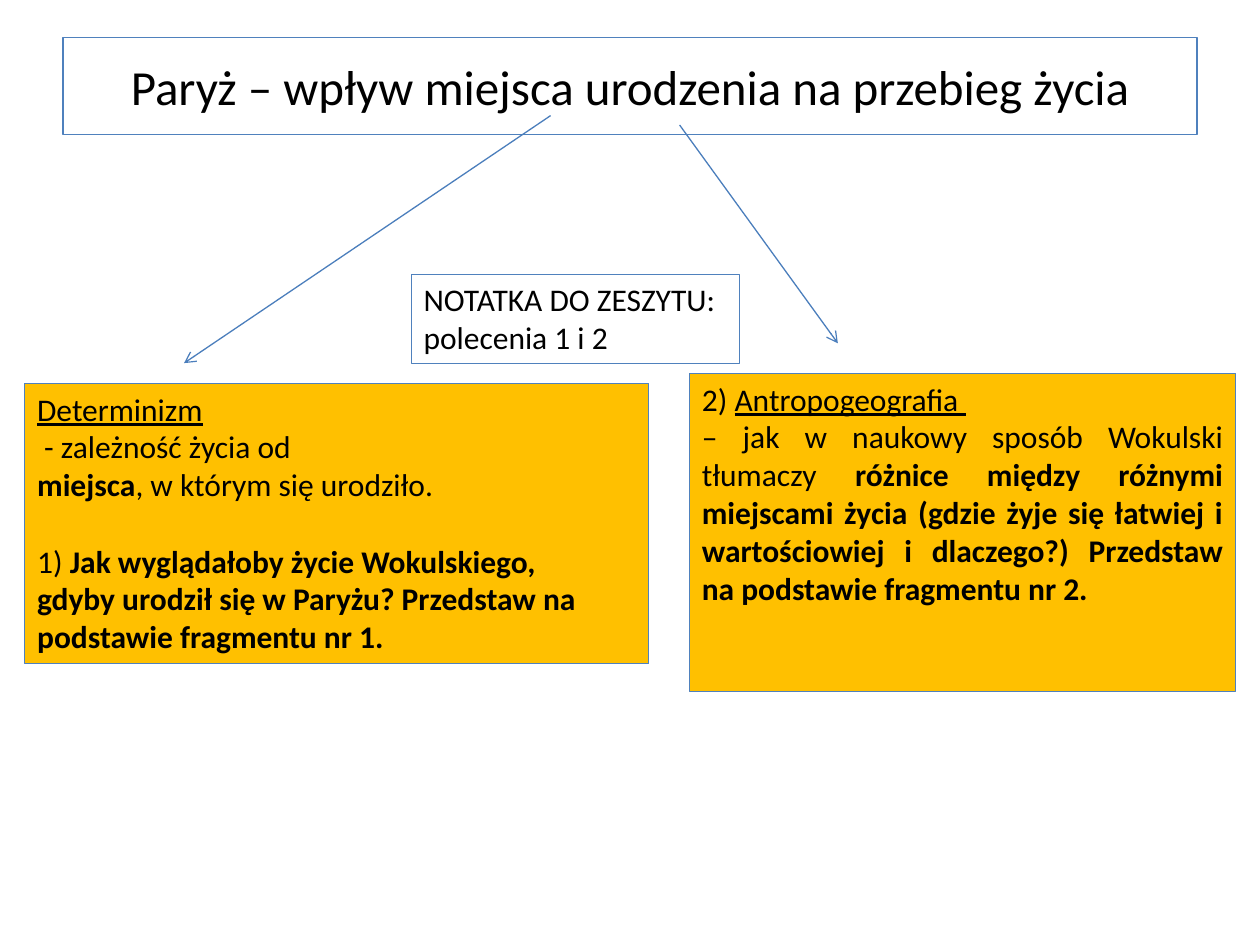
from lxml import etree
from pptx import Presentation
from pptx import util as u
from pptx.dml.color import RGBColor
from pptx.enum import shapes, text
from pptx.oxml.ns import qn

COLORS = {"text": "000000", "border": "4F81BD", "arrow": "4B7EBC", "note": "FFC000"}
LEFT, CENTER, JUSTIFY = (text.PP_ALIGN.LEFT, text.PP_ALIGN.CENTER,
                         text.PP_ALIGN.JUSTIFY)
BOLD, UNDER = {"bold": True}, {"underline": True}


def rgb(name):
    return RGBColor.from_string(COLORS[name])


class Deck:
    """Holds the shared style and the current slide."""
    font = {"name": "Calibri", "size": u.Pt(18)}
    line_width = u.Pt(0.75)

    def __init__(self, width, height):
        self.prs = Presentation()
        self.prs.slide_width, self.prs.slide_height = u.Cm(width), u.Cm(height)
        self.s = self.prs.slides.add_slide(self.prs.slide_layouts[6])

    def outline(self, line, color):
        line.color.rgb = rgb(color)
        line.width = self.line_width

    def box(self, at, paragraphs, fill=None, anchor=text.MSO_ANCHOR.TOP, **font):
        """Each paragraph is (alignment, space before in points, runs)."""
        sp = self.s.shapes.add_shape(shapes.MSO_SHAPE.RECTANGLE, *map(u.Cm, at))
        sp.shadow.inherit = False
        if fill:
            sp.fill.solid()
            sp.fill.fore_color.rgb = rgb(fill)
        else:
            sp.fill.background()
        self.outline(sp.line, "border")
        tf = sp.text_frame
        tf.word_wrap, tf.vertical_anchor = True, anchor
        for i, (align, before, runs) in enumerate(paragraphs):
            p = tf.paragraphs[0] if i == 0 else tf.add_paragraph()
            p.alignment, p.space_before = align, u.Pt(before)
            for words, style in runs:
                r = p.add_run()
                r.text = words
                r.font.color.rgb = rgb("text")
                for key, value in {**self.font, **font, **style}.items():
                    setattr(r.font, key, value)

    def arrow(self, start, end):
        c = self.s.shapes.add_connector(shapes.MSO_CONNECTOR.STRAIGHT,
                                        *map(u.Cm, start + end))
        self.outline(c.line, "arrow")
        ln = c.line._get_or_add_ln()
        etree.SubElement(ln, qn("a:tailEnd"), type="arrow")
        etree.SubElement(c._element.spPr, qn("a:effectLst"))


def main():
    deck = Deck(25.4, 19.05)

    # Title
    deck.box((1.27, 0.76, 22.86, 1.96),
             [(CENTER, 0, [("Paryż – wpływ miejsca urodzenia na przebieg życia", {})])],
             anchor=text.MSO_ANCHOR.MIDDLE, size=u.Pt(28))

    # Left branch: determinism
    deck.arrow((11.1, 2.33), (3.71, 7.32))
    deck.box((0.5, 7.73, 12.58, 5.65), [
        (LEFT, 0, [("Determinizm", UNDER)]),
        (LEFT, 0, [(" - zależność życia od", {})]),
        (LEFT, 0, [("miejsca", BOLD), (", w którym się urodziło.", {})]),
        (JUSTIFY, 22, [("1) ", {}), ("Jak wyglądałoby życie Wokulskiego,", BOLD)]),
        (JUSTIFY, 0, [("gdyby urodził się w Paryżu? Przedstaw na ", BOLD)]),
        (JUSTIFY, 0, [("podstawie fragmentu nr 1.", BOLD)]),
    ], fill="note")

    # Right branch: anthropogeography
    deck.arrow((13.7, 2.52), (16.89, 6.92))
    deck.box((13.9, 7.53, 11.01, 6.41), [
        (JUSTIFY, 0, [("2) ", {}), ("Antropogeografia ", UNDER)]),
        (JUSTIFY, 0, [
            ("– jak w naukowy sposób Wokulski tłumaczy ", {}),
            ("różnice między różnymi miejscami życia (gdzie żyje się łatwiej "
             "i wartościowiej i dlaczego?) Przedstaw na podstawie "
             "fragmentu nr 2.", BOLD)]),
    ], fill="note")

    # Notebook task
    deck.box((8.29, 5.53, 6.62, 1.8),
             [(LEFT, 0, [("NOTATKA DO ZESZYTU: polecenia 1 i 2", {})])])

    deck.prs.save("out.pptx")


if __name__ == "__main__":
    main()
